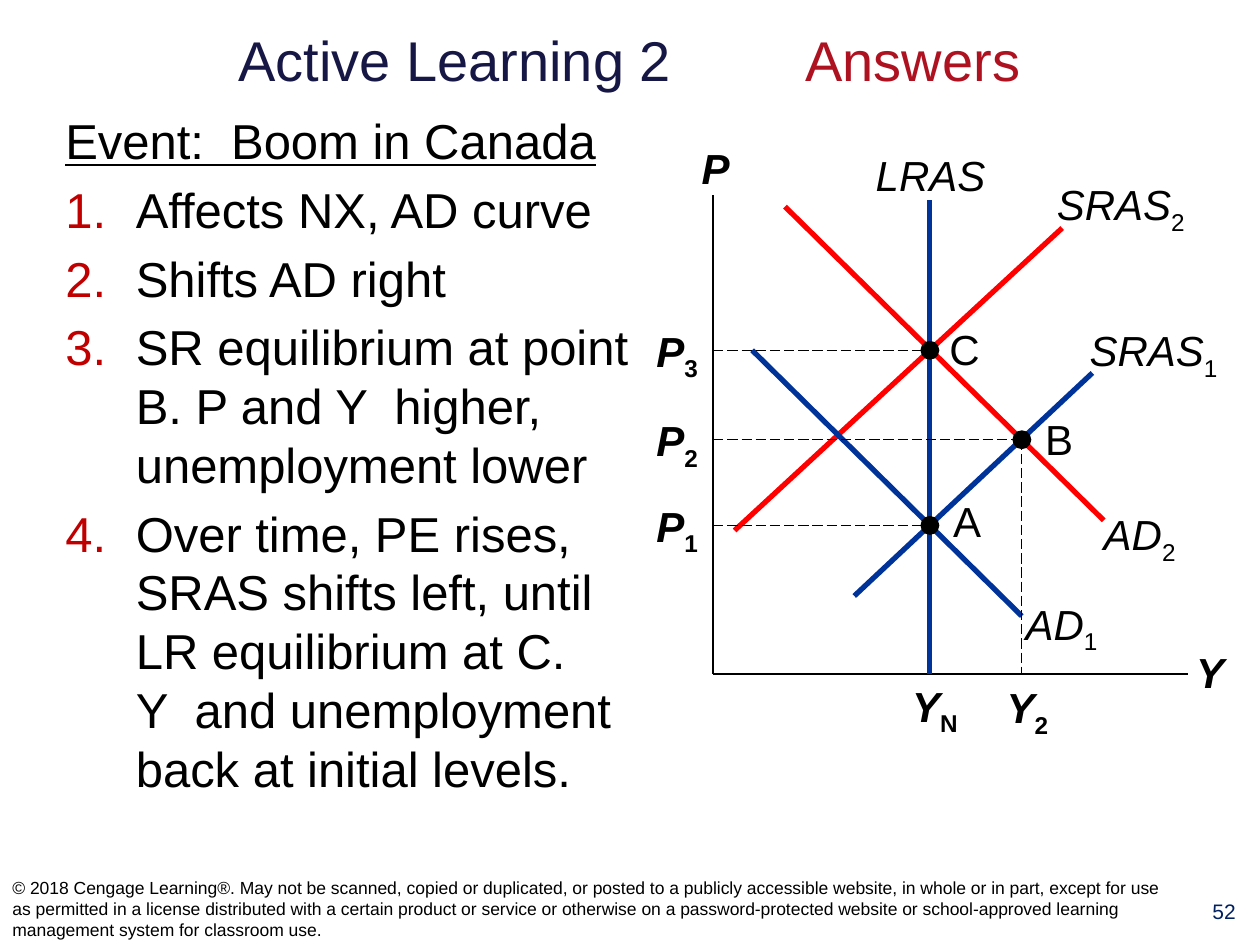
from pptx import Presentation
from pptx.dml.color import RGBColor
from pptx.enum.dml import MSO_LINE
from pptx.enum.shapes import MSO_CONNECTOR, MSO_SHAPE
from pptx.enum.text import MSO_ANCHOR, PP_ALIGN
from pptx.oxml.ns import qn
from pptx.util import Inches, Pt
from lxml.etree import SubElement

BLACK, BLUE, RED = "000000", "003399", "FF0000"
ORIGIN_X, ORIGIN_Y = 5.66, 5.35


def rgb(value):
    return RGBColor.from_string(value)


class SlideBuilder:
    font_name = "Arial"
    dot_size = 0.15

    def __init__(self, page):
        self.page = page

    def style(self, font, size, color=BLACK, bold=False, italic=False):
        font.name = self.font_name
        font.size = Pt(size)
        font.color.rgb = rgb(color)
        font.bold = bold
        font.italic = italic

    def title(self, parts, left, top, width, height):
        """Place the title; parts are pairs of text and colour."""
        box = self.page.shapes.title
        box.left, box.top, box.width, box.height = map(Inches, (left, top, width, height))
        frame = box.text_frame
        frame.word_wrap = False
        frame.vertical_anchor = MSO_ANCHOR.MIDDLE
        para = frame.paragraphs[0]
        para.alignment = PP_ALIGN.CENTER
        for text, color in parts:
            span = para.add_run()
            span.text = text
            self.style(span.font, 32, color)

    def text(self, text, left, top, width, height, size, color=BLACK,
             align=PP_ALIGN.LEFT, anchor=MSO_ANCHOR.TOP):
        box = self.page.shapes.add_textbox(*map(Inches, (left, top, width, height)))
        frame = box.text_frame
        frame.word_wrap = True
        frame.vertical_anchor = anchor
        frame.text = text
        for para in frame.paragraphs:
            para.alignment = align
            for span in para.runs:
                self.style(span.font, size, color)
        return frame

    def numbered_list(self, heading, items, left, top, width, height):
        frame = self.text("\n".join([heading, *items]), left, top, width, height, 28)
        frame.paragraphs[0].runs[0].font.underline = True
        for para in frame.paragraphs[1:]:
            para.space_before = Pt(5.6)
            properties = para._p.get_or_add_pPr()
            properties.set("marL", str(Inches(0.56)))
            properties.set("indent", str(-Inches(0.56)))
            bullet_color = SubElement(properties, qn("a:buClr"))
            SubElement(bullet_color, qn("a:srgbClr"), val="C00000")
            SubElement(properties, qn("a:buFont"), typeface=self.font_name)
            SubElement(properties, qn("a:buAutoNum"), type="arabicPeriod")

    def label(self, name, subscript, left, top, width, bold=False, italic=True, inset=True):
        """Write a centred 24 pt symbol with an optional subscript."""
        frame = self.text(name, left, top, width, 0.5 if inset else 0.4, 24,
                          align=PP_ALIGN.CENTER)
        if not inset:
            frame.margin_left = frame.margin_right = 0
            frame.margin_top = frame.margin_bottom = 0
        para = frame.paragraphs[0]
        self.style(para.runs[0].font, 24, bold=bold, italic=italic)
        if subscript:
            span = para.add_run()
            span.text = subscript
            self.style(span.font, 24, bold=bold)
            span._r.get_or_add_rPr().set("baseline", "-25000")

    def line(self, start, end, color=BLACK, width=1, dashed=False):
        connector = self.page.shapes.add_connector(
            MSO_CONNECTOR.STRAIGHT, *map(Inches, (*start, *end)))
        connector.line.color.rgb = rgb(color)
        connector.line.width = Pt(width)
        if dashed:
            connector.line.dash_style = MSO_LINE.LONG_DASH
        SubElement(connector._element.spPr, qn("a:effectLst"))

    def dot(self, x, y):
        half = self.dot_size / 2
        shape = self.page.shapes.add_shape(
            MSO_SHAPE.OVAL, *map(Inches, (x - half, y - half, self.dot_size, self.dot_size)))
        shape.shadow.inherit = False
        shape.fill.solid()
        shape.fill.fore_color.rgb = rgb(BLACK)
        shape.line.fill.background()


def main():
    deck = Presentation()
    deck.slide_width, deck.slide_height = Inches(10), Inches(7.5)
    builder = SlideBuilder(deck.slides.add_slide(deck.slide_layouts[5]))

    builder.title([("Active Learning 2\t\t\t", "171745"), ("Answers", "AE1221")],
                  0.73, 0.11, 8.53, 0.72)
    builder.text("52", 9.43, 7.08, 0.57, 0.41, 12, "002060", PP_ALIGN.CENTER)
    builder.text(
        "© 2018 Cengage Learning®. May not be scanned, copied or duplicated, or posted to a "
        "publicly accessible website, in whole or in part, except for use as permitted in a "
        "license distributed with a certain product or service or otherwise on a "
        "password-protected website or school-approved learning management system for "
        "classroom use.",
        0, 6.92, 9.41, 0.58, 10, anchor=MSO_ANCHOR.MIDDLE)
    builder.numbered_list("Event:  Boom in Canada", [
        "Affects NX, AD curve",
        "Shifts AD right",
        "SR equilibrium at point B. P and Y  higher, unemployment lower",
        "Over time, PE rises, SRAS shifts left, until LR equilibrium at C.\v"
        "Y  and unemployment back at initial levels.",
    ], 0.42, 0.83, 4.8, 5.92)

    # Axes
    builder.line((ORIGIN_X, 1.55), (ORIGIN_X, ORIGIN_Y))
    builder.line((ORIGIN_X, ORIGIN_Y), (9.43, ORIGIN_Y))
    builder.label("P", "", 5.47, 1.08, 0.42, bold=True)
    builder.label("Y", "", 9.38, 5.08, 0.45, bold=True)
    builder.label("Y", "N", 7.11, 5.35, 0.62, bold=True)

    # Curves: start, end, colour, name, subscript, label left, top, width
    curves = [
        ((7.38, 1.59), (7.38, ORIGIN_Y), BLUE, "LRAS", "", 6.74, 1.14, 1.29),
        ((6.23, 1.64), (8.76, 4.13), RED, "AD", "2", 8.64, 3.99, 0.81),
        ((5.83, 4.21), (8.43, 1.81), RED, "SRAS", "2", 8.25, 1.37, 1.29),
        ((5.97, 2.78), (8.11, 4.89), BLUE, "AD", "1", 8.03, 4.7, 0.79),
        ((6.78, 4.73), (8.67, 2.96), BLUE, "SRAS", "1", 8.51, 2.53, 1.29),
    ]
    for start, end, color, name, subscript, left, top, width in curves:
        builder.line(start, end, color, 3)
        builder.label(name, subscript, left, top, width)

    # Equilibria: name, x, y, price subscript, name left, name top
    equilibria = [
        ("A", 7.38, 4.17, "1", 7.5, 3.93),
        ("B", 8.11, 3.49, "2", 8.23, 3.28),
        ("C", 7.38, 2.78, "3", 7.48, 2.57),
    ]
    builder.line((8.11, 3.49), (8.11, ORIGIN_Y), width=0.75, dashed=True)
    builder.label("Y", "2", 7.89, 5.41, 0.53, bold=True, inset=False)
    for name, x, y, subscript, left, top in equilibria:
        builder.line((ORIGIN_X, y), (x, y), width=0.75, dashed=True)
        builder.label("P", subscript, 5.11, y - 0.2, 0.53, bold=True, inset=False)
        builder.label(name, "", left, top, 0.35, italic=False, inset=False)
        builder.dot(x, y)

    deck.save("out.pptx")


if __name__ == "__main__":
    main()
